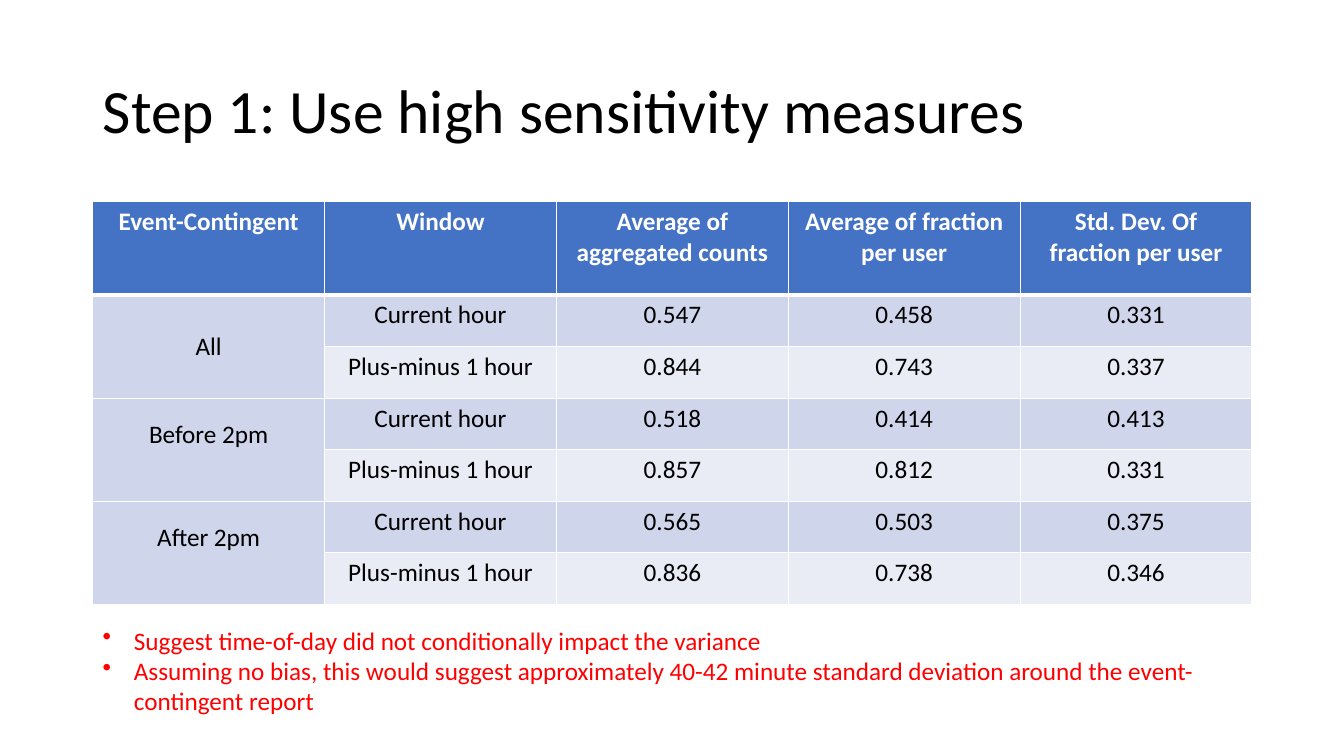
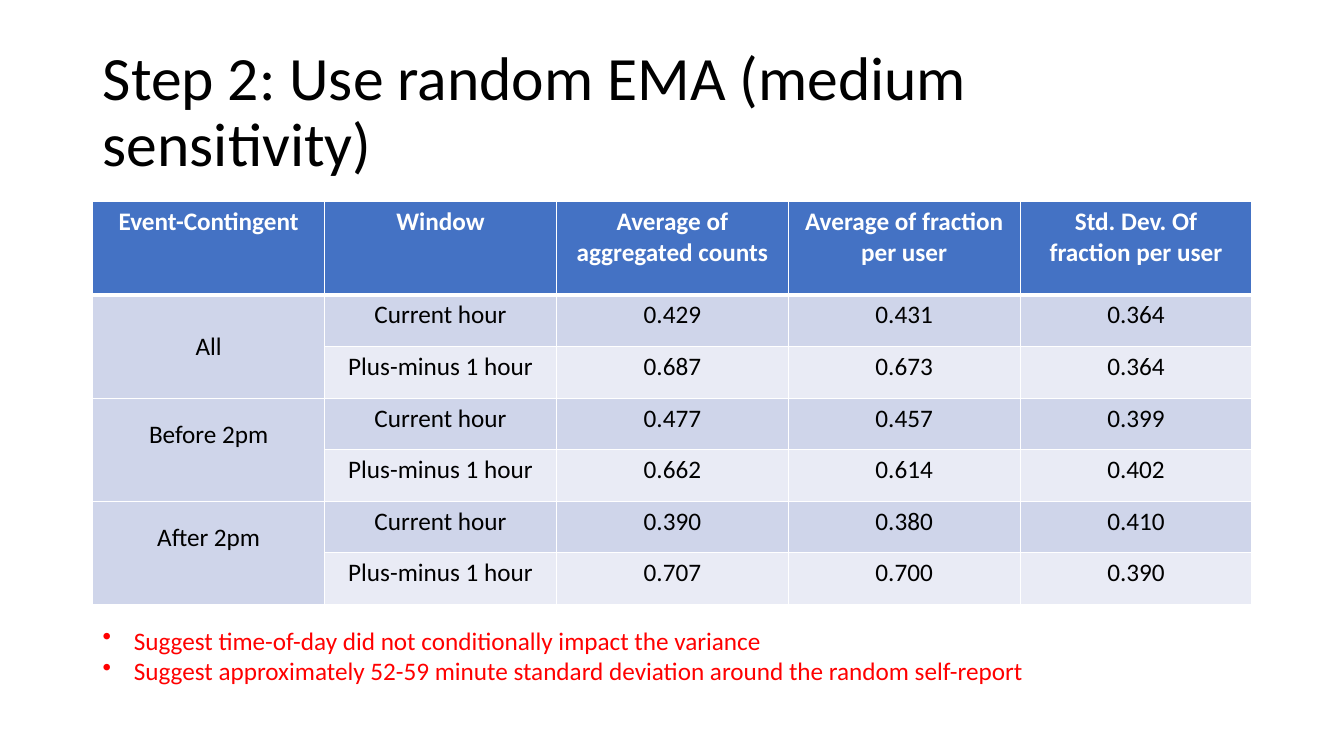
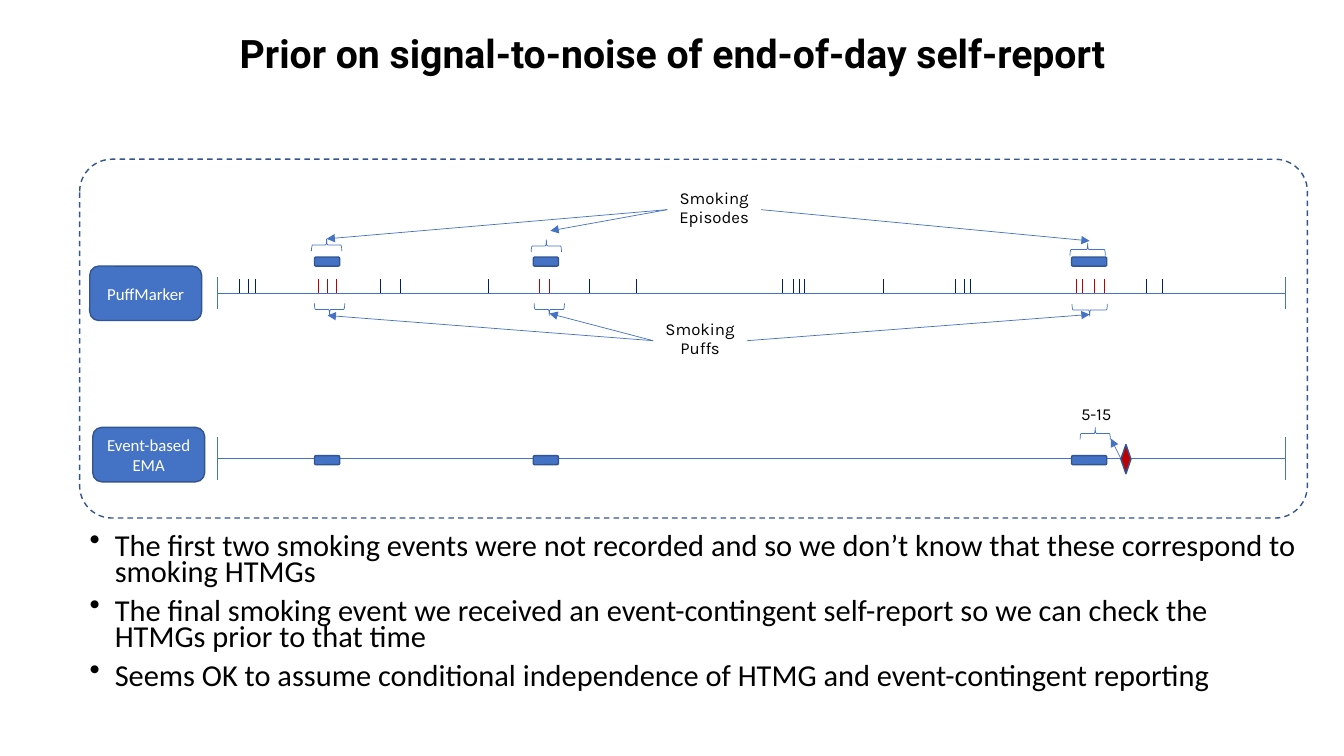
from dataclasses import dataclass
from typing import Any, NamedTuple, Optional

import lxml.etree
import pptx
import pptx.dml.color
import pptx.enum.dml
import pptx.enum.shapes
import pptx.enum.text
import pptx.oxml.ns
import pptx.presentation
import pptx.slide
import pptx.text.text
import pptx.util

# Every place and size counts cells of a square grid.
CELL = 0.1
SLIDE_COLS, SLIDE_ROWS = 133.33, 75

BLACK, WHITE, RED = "000000", "FFFFFF", "FF0000"
BLUE, OUTLINE, NAVY, CRIMSON = "4472C4", "325491", "002060", "C00000"
DARK_BAND, LIGHT_BAND = "CFD5EA", "E9EBF5"

SHAPE = pptx.enum.shapes.MSO_SHAPE
ALIGN = pptx.enum.text.PP_ALIGN
ANCHOR = pptx.enum.text.MSO_ANCHOR


class Box(NamedTuple):
    col: float
    row: float
    cols: float
    rows: float


class Point(NamedTuple):
    col: float
    row: float


@dataclass(frozen=True)
class Style:
    size: float = 18
    color: str = BLACK
    font: str = "Calibri"
    bold: bool = False
    align: Any = ALIGN.LEFT
    line_spacing: float = 1.0
    space_before: float = 0
    bullet_indent: float = 0


@dataclass(frozen=True)
class Study:
    title: str
    measures: list[tuple[str, str, str]]
    findings: str
    findings_rows: float


@dataclass(frozen=True)
class Episode:
    bar_col: float
    bar_cols: float
    brace_cols: float
    upper_brace: Point
    upper_tip: Point
    lower_brace: Point
    lower_tip: Point


STEP_TITLE = Style(44, line_spacing=0.9)
PRIOR_TITLE = Style(28, font="Roboto", bold=True, align=ALIGN.CENTER, line_spacing=0.9)
HEADER = Style(color=WHITE, bold=True, align=ALIGN.CENTER)
VALUE = Style(align=ALIGN.CENTER)
FINDING = Style(color=RED, bullet_indent=3.1)
REMARK = Style(21.7, line_spacing=0.7, space_before=10, bullet_indent=2.5)
CALLOUT = Style(12, font="Karla", align=ALIGN.CENTER, line_spacing=0.9)
SOURCE = Style(12, color=WHITE, align=ALIGN.CENTER)

HEADINGS = ["Event-Contingent", "Window", "Average of aggregated counts",
            "Average of fraction per user", "Std. Dev. Of\nfraction per user"]
PERIODS = ["All", "Before 2pm", "After 2pm"]
WINDOWS = ["Current hour", "Plus-minus 1 hour"]
TABLE_BOX = Box(9.2, 20, 115, 40)
HEADER_ROWS, BODY_ROWS = 9.26, 5.12

STUDIES = [
    Study("Step 1: Use high sensitivity measures",
          [("0.547", "0.458", "0.331"), ("0.844", "0.743", "0.337"),
           ("0.518", "0.414", "0.413"), ("0.857", "0.812", "0.331"),
           ("0.565", "0.503", "0.375"), ("0.836", "0.738", "0.346")],
          "Suggest time-of-day did not conditionally impact the variance\n"
          "Assuming no bias, this would suggest approximately 40-42 minute "
          "standard deviation around the event-contingent report", 10.1),
    Study("Step 2: Use random EMA (medium sensitivity)",
          [("0.429", "0.431", "0.364"), ("0.687", "0.673", "0.364"),
           ("0.477", "0.457", "0.399"), ("0.662", "0.614", "0.402"),
           ("0.390", "0.380", "0.410"), ("0.707", "0.700", "0.390")],
          "Suggest time-of-day did not conditionally impact the variance\n"
          "Suggest approximately 52-59 minute standard deviation around "
          "the random self-report", 7.1),
]

EPISODES = [
    Episode(31.2, 2.5, 3, Point(32.4, 24.3), Point(32.4, 23.7),
            Point(32.7, 30.7), Point(32.5, 31.3)),
    Episode(52.9, 2.5, 3, Point(54.2, 24.4), Point(54.6, 22.9),
            Point(54.5, 30.7), Point(54.5, 31.1)),
    Episode(106.3, 3.5, 3.5, Point(107.9, 24.75), Point(108.1, 23.9),
            Point(108.1, 30.75), Point(108.1, 31.2)),
]
SMOKING_PUFFS = [31.6, 32.5, 33.4, 53.5, 54.5, 106.8, 107.4, 108.6, 109.6]
OTHER_PUFFS = [23.7, 24.6, 25.3, 37.7, 39.7, 48.4, 58.5, 63.1, 77.6, 78.7, 79.3,
               79.8, 87.6, 94.8, 95.7, 96.3, 113.7, 115.3]
DAY_START, DAY_END = 21.6, 127.5
PUFF_ROW, EMA_ROW = 29.1, 45.5
REMARKS = (
    "The first two smoking events were not recorded and so we don’t know that "
    "these correspond to smoking HTMGs\n"
    "The final smoking event we received an event-contingent self-report so we "
    "can check the HTMGs prior to that time\n"
    "Seems OK to assume conditional independence of HTMG and event-contingent reporting")


def cells(count: float) -> int:
    return pptx.util.Inches(count * CELL)


def place(box: Box) -> list[int]:
    return [cells(length) for length in box]


def rgb(color: str) -> pptx.dml.color.RGBColor:
    return pptx.dml.color.RGBColor.from_string(color)


def add_xml(parent: Any, tag: str, **attributes: str) -> Any:
    return lxml.etree.SubElement(parent, pptx.oxml.ns.qn(tag), attributes)


def write(frame: pptx.text.text.TextFrame, text: str, style: Style,
          anchor: Any = ANCHOR.TOP) -> None:
    """Fill the frame with one paragraph for each line of the text."""
    frame.word_wrap = True
    frame.vertical_anchor = anchor
    for index, line in enumerate(text.split("\n")):
        paragraph = frame.add_paragraph() if index else frame.paragraphs[0]
        paragraph.alignment = style.align
        paragraph.line_spacing = style.line_spacing
        paragraph.space_before = pptx.util.Pt(style.space_before)
        if style.bullet_indent:
            properties = paragraph._p.get_or_add_pPr()
            properties.set("marL", str(cells(style.bullet_indent)))
            properties.set("indent", str(-cells(style.bullet_indent)))
            add_xml(properties, "a:buChar", char="•")
        run = paragraph.add_run()
        run.text = line
        run.font.size = pptx.util.Pt(style.size)
        run.font.name = style.font
        run.font.bold = style.bold
        run.font.color.rgb = rgb(style.color)


def add_titled_slide(deck: pptx.presentation.Presentation, title: str,
                     box: Box, style: Style) -> pptx.slide.Slide:
    slide = deck.slides.add_slide(deck.slide_layouts[5])
    heading = slide.shapes.title
    heading.left, heading.top, heading.width, heading.height = place(box)
    write(heading.text_frame, title, style, ANCHOR.MIDDLE)
    heading.text_frame.auto_size = pptx.enum.text.MSO_AUTO_SIZE.NONE
    return slide


def add_text(slide: pptx.slide.Slide, box: Box, text: str, style: Style) -> None:
    write(slide.shapes.add_textbox(*place(box)).text_frame, text, style)


def add_figure(slide: pptx.slide.Slide, kind: Any, box: Box, fill: Optional[str] = BLUE,
               line: str = OUTLINE, weight: float = 1) -> Any:
    figure = slide.shapes.add_shape(kind, *place(box))
    figure.shadow.inherit = False
    if fill:
        figure.fill.solid()
        figure.fill.fore_color.rgb = rgb(fill)
    else:
        figure.fill.background()
    figure.line.color.rgb = rgb(line)
    figure.line.width = pptx.util.Pt(weight)
    return figure


def add_line(slide: pptx.slide.Slide, start: Point, end: Point,
             color: str = BLUE, arrow: bool = False) -> None:
    line = slide.shapes.add_connector(
        pptx.enum.shapes.MSO_CONNECTOR.STRAIGHT,
        *(cells(length) for length in (*start, *end)))
    line.line.color.rgb = rgb(color)
    line.line.width = pptx.util.Pt(0.5)
    if arrow:
        add_xml(line.line._get_or_add_ln(), "a:tailEnd", type="triangle")
    add_xml(line._element.spPr, "a:effectLst")


def add_brace(slide: pptx.slide.Slide, center: Point, cols: float, rotation: int) -> None:
    """Draw a brace lying on its side: 90 points up, 270 points down."""
    depth = 1.2
    box = Box(center.col - depth / 2, center.row - cols / 2, depth, cols)
    brace = add_figure(slide, SHAPE.LEFT_BRACE, box, None, BLUE, 0.5)
    brace.rotation = rotation


def add_axis(slide: pptx.slide.Slide, row: float, reach: float) -> None:
    """Draw a day's axis with end marks that reach above and below it."""
    add_line(slide, Point(DAY_START, row), Point(DAY_END, row))
    for col in (DAY_START, DAY_END):
        add_line(slide, Point(col, row - reach), Point(col, row + reach))


def add_source(slide: pptx.slide.Slide, col: float, row: float, name: str) -> None:
    source = add_figure(slide, SHAPE.ROUNDED_RECTANGLE, Box(col, row, 11.1, 5.4))
    write(source.text_frame, name, SOURCE, ANCHOR.MIDDLE)


def add_bars(slide: pptx.slide.Slide, row: float) -> None:
    for episode in EPISODES:
        add_figure(slide, SHAPE.ROUNDED_RECTANGLE,
                   Box(episode.bar_col, row, episode.bar_cols, 0.9))


def format_cell(cell: Any, text: str, style: Style, fill: str,
                top: float = 1, bottom: float = 1, anchor: Any = ANCHOR.TOP) -> None:
    properties = cell._tc.get_or_add_tcPr()
    for side, weight in zip("LRTB", (1, 1, top, bottom)):
        border = add_xml(properties, f"a:ln{side}", w=str(pptx.util.Pt(weight)))
        add_xml(add_xml(border, "a:solidFill"), "a:srgbClr", val=WHITE)
    cell.fill.solid()
    cell.fill.fore_color.rgb = rgb(fill)
    if text:
        write(cell.text_frame, text, style)
        cell.vertical_anchor = anchor


def add_measures(slide: pptx.slide.Slide, measures: list[tuple[str, str, str]]) -> None:
    table = slide.shapes.add_table(
        len(measures) + 1, len(HEADINGS), *place(TABLE_BOX)).table
    table.first_row = table.horz_banding = False
    for row_index, row in enumerate(table.rows):
        row.height = cells(BODY_ROWS if row_index else HEADER_ROWS)
    for col, heading in enumerate(HEADINGS):
        format_cell(table.cell(0, col), heading, HEADER, BLUE, bottom=3)
    for index, values in enumerate(measures):
        period, window = divmod(index, len(WINDOWS))
        row, top = index + 1, 1 if index else 3
        format_cell(table.cell(row, 0), "" if window else PERIODS[period], VALUE,
                    DARK_BAND, top, anchor=ANCHOR.MIDDLE)
        for col, text in enumerate((WINDOWS[window], *values), start=1):
            format_cell(table.cell(row, col), text, VALUE,
                        LIGHT_BAND if window else DARK_BAND, top)
        if window:
            period_cell = table.cell(row - 1, 0)
            period_cell.merge(table.cell(row, 0))
            if period:
                period_cell.margin_bottom = cells(3.5)


def add_study_slide(deck: pptx.presentation.Presentation, study: Study) -> None:
    slide = add_titled_slide(deck, study.title, Box(9.2, 4, 115, 14.5), STEP_TITLE)
    add_measures(slide, study.measures)
    add_text(slide, Box(9.2, 61.5, 115, study.findings_rows), study.findings, FINDING)


def add_puff_timeline(slide: pptx.slide.Slide) -> None:
    add_axis(slide, PUFF_ROW, 1.6)
    add_bars(slide, 25.5)
    for puffs, color in ((SMOKING_PUFFS, CRIMSON), (OTHER_PUFFS, NAVY)):
        for col in puffs:
            add_line(slide, Point(col, PUFF_ROW - 1.4), Point(col, PUFF_ROW), color)
    episodes_label = Box(66.2, 18.4, 9.3, 4.7)
    puffs_label = Box(64.8, 31.4, 9.3, 4.7)
    for episode in EPISODES:
        for label, brace, tip, rotation in (
                (episodes_label, episode.upper_brace, episode.upper_tip, 90),
                (puffs_label, episode.lower_brace, episode.lower_tip, 270)):
            add_brace(slide, brace, episode.brace_cols, rotation)
            side = label.col if tip.col < label.col else label.col + label.cols
            add_line(slide, Point(side, label.row + 2.4), tip, arrow=True)
    add_text(slide, episodes_label, "Smoking Episodes", CALLOUT)
    add_text(slide, puffs_label, "Smoking Puffs", CALLOUT)
    add_source(slide, 8.9, 26.4, "PuffMarker")


def add_ema_timeline(slide: pptx.slide.Slide) -> None:
    add_line(slide, Point(111.2, EMA_ROW), Point(110.2, 43.5), arrow=True)
    add_source(slide, 9.2, 42.4, "Event-based EMA")
    add_axis(slide, EMA_ROW, 2.1)
    add_figure(slide, SHAPE.DIAMOND, Box(111.2, 44.1, 1, 2.9), CRIMSON)
    add_bars(slide, 45.2)
    add_brace(slide, Point(108.65, 43), 3, 90)
    add_text(slide, Box(104.1, 39.8, 9.3, 2.6), "5-15", CALLOUT)


def add_prior_slide(deck: pptx.presentation.Presentation) -> None:
    slide = add_titled_slide(deck, "Prior on signal-to-noise of end-of-day self-report",
                             Box(9.2, 0, 115, 11), PRIOR_TITLE)
    add_puff_timeline(slide)
    panel = add_figure(slide, SHAPE.ROUNDED_RECTANGLE, Box(7.9, 15.8, 121.8, 35.6), None)
    panel.adjustments[0] = 0.09
    panel.line.dash_style = pptx.enum.dml.MSO_LINE.DASH
    add_ema_timeline(slide)
    add_text(slide, Box(7.9, 52.7, 121.8, 18.9), REMARKS, REMARK)


def main() -> None:
    deck = pptx.Presentation()
    deck.slide_width, deck.slide_height = cells(SLIDE_COLS), cells(SLIDE_ROWS)
    for study in STUDIES:
        add_study_slide(deck, study)
    add_prior_slide(deck)
    deck.save("out.pptx")


if __name__ == "__main__":
    main()
